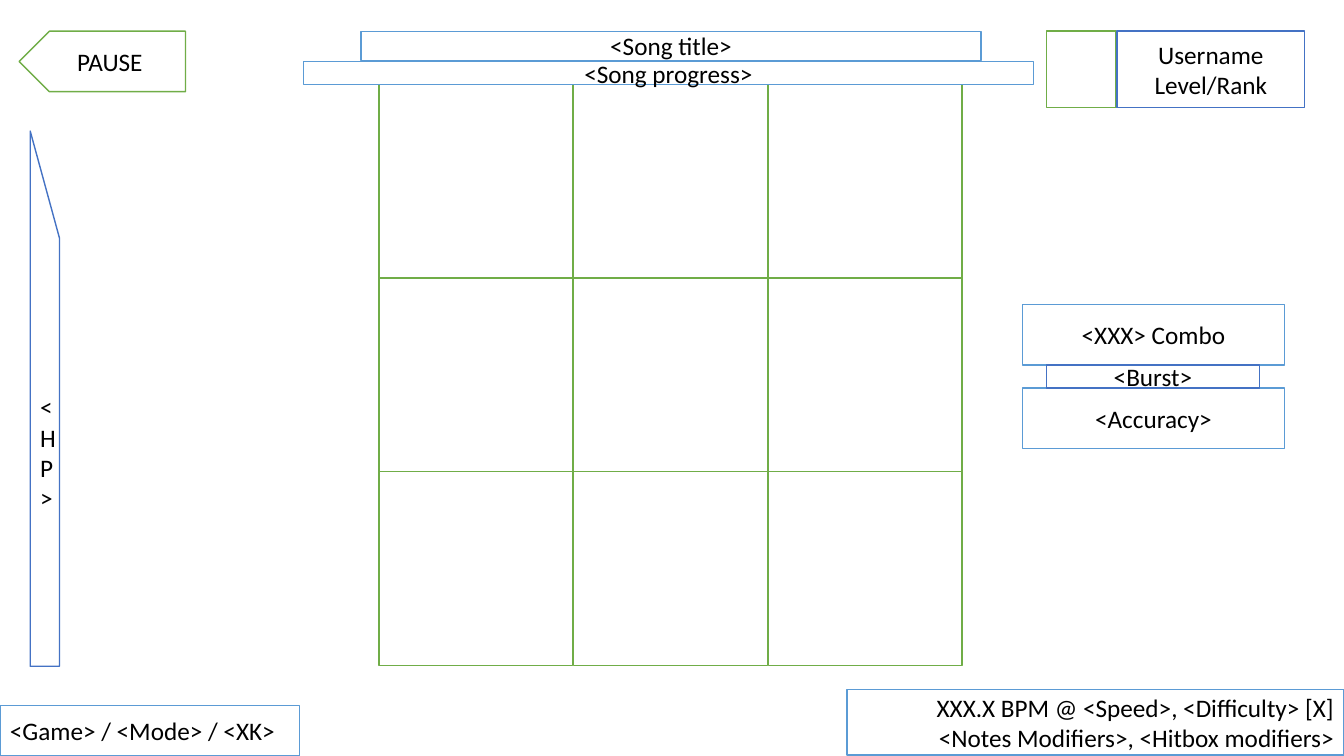
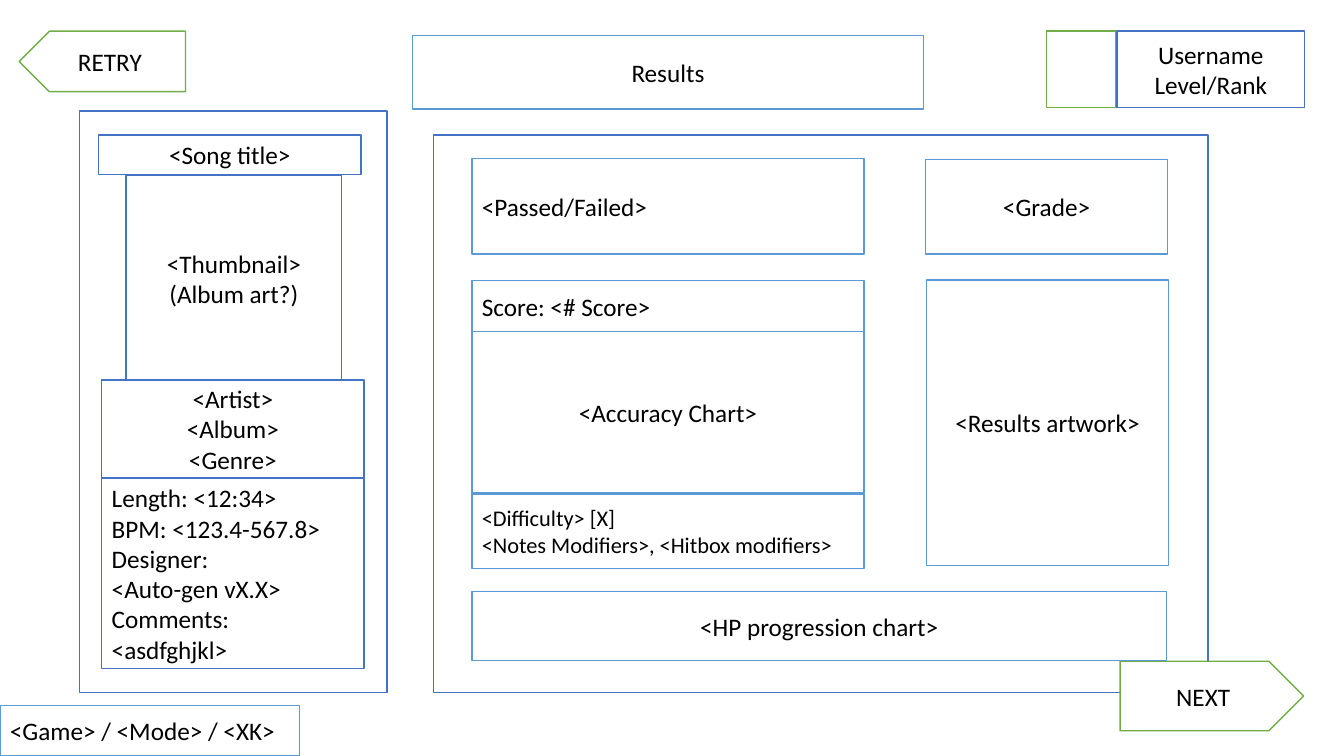
from pptx import Presentation
from pptx.dml.color import RGBColor
from pptx.enum.shapes import MSO_SHAPE as SHAPE
from pptx.enum.text import MSO_ANCHOR as ANCHOR, MSO_AUTO_SIZE as AUTO, PP_ALIGN as ALIGN
from pptx.util import Inches, Pt

COLORS = {"white": "FFFFFF", "text": "000000",
          "green": "70AD47", "blue": "4472C4", "sky": "5B9BD5"}
FONT = {"name": "Calibri", "size": Pt(18), "bold": False}
FRAME = {"word_wrap": True, "auto_size": AUTO.NONE, "vertical_anchor": ANCHOR.MIDDLE}
TITLE_ONLY = 5

# Boxes are left, top, width, height in inches.
# "\n" starts a paragraph, "\v" breaks a line inside one.
# Each part: outline colour, box, text, format options.
BACK_BOX = (0.19, 0.31, 1.65, 0.6)
LEFT, RIGHT = {"align": ALIGN.LEFT}, {"align": ALIGN.RIGHT}
OPEN = {"filled": False}
BACK = {"shape": SHAPE.PENTAGON, "flip": True}

SHARED = [
    ("green", (10.38, 0.31, 0.69, 0.76), "", {}),
    ("blue", (11.08, 0.31, 1.86, 0.76), "Username\vLevel/Rank", {}),
    ("sky", (0, 7, 2.97, 0.5), "<Game> / <Mode> / <XK>", LEFT),
]

GRID = {"left": 3.76, "top": 0.84, "cell": 1.92, "step_x": 1.93, "step_y": 1.92, "count": 3}

SCREENS = [
    {
        "title": ("sky", (3.58, 0.31, 6.15, 0.29), "<Song title>", OPEN),
        "back": "PAUSE",
        "grid": GRID,
        "parts": [
            ("sky", (3.01, 0.61, 7.24, 0.23), "<Song progress>", OPEN),
            ("blue", (0.3, 1.3, 0.29, 5.31), "<HP>",
             {"shape": SHAPE.FLOWCHART_MANUAL_INPUT, "flip": True, "filled": False}),
            ("sky", (10.14, 3.02, 2.6, 0.6), "<XXX> Combo", OPEN),
            ("sky", (10.14, 3.85, 2.6, 0.6), "<Accuracy>", OPEN),
            ("blue", (10.38, 3.62, 2.11, 0.23), "<Burst>", OPEN),
            ("sky", (8.4, 6.84, 4.93, 0.65),
             "XXX.X BPM @ <Speed>, <Difficulty> [X]\v<Notes Modifiers>, <Hitbox modifiers>",
             RIGHT),
        ],
    },
    {
        "title": ("sky", (4.09, 0.35, 5.07, 0.73), "Results", {}),
        "back": "RETRY",
        "grid": None,
        "parts": [
            ("blue", (0.79, 1.1, 3.05, 5.77), "", {}),
            ("blue", (0.98, 1.34, 2.6, 0.39), "<Song title>", {}),
            ("blue", (1.25, 1.74, 2.14, 2.04), "<Thumbnail>\v(Album art?)", {}),
            ("blue", (1.01, 4.74, 2.6, 1.89),
             "Length: <12:34>\nBPM: <123.4-567.8>\n"
             "Designer:\v<Auto-gen vX.X>\nComments:\v<asdfghjkl>",
             {"align": ALIGN.LEFT, "anchor": ANCHOR.TOP}),
            ("blue", (1.01, 3.77, 2.6, 0.97), "<Artist>\v<Album>\v<Genre>", {}),
            ("blue", (4.3, 1.34, 7.68, 5.53), "", {}),
            ("green", (11.11, 6.56, 1.82, 0.69), "NEXT", {"shape": SHAPE.PENTAGON}),
            ("sky", (9.18, 1.58, 2.4, 0.94), "<Grade>", {}),
            ("sky", (4.68, 1.57, 3.89, 0.95), "<Passed/Failed>", LEFT),
            ("sky", (4.68, 3.29, 3.89, 1.6), "<Accuracy Chart>", {}),
            ("sky", (4.68, 5.87, 6.89, 0.68), "<HP progression chart>", {}),
            ("sky", (4.68, 2.78, 3.89, 0.51), "Score: <# Score>", LEFT),
            ("sky", (9.19, 2.78, 2.4, 2.83), "<Results artwork>", {}),
            ("sky", (4.68, 4.9, 3.89, 0.74),
             "<Difficulty> [X]\v<Notes Modifiers>, <Hitbox modifiers>",
             {"align": ALIGN.LEFT, "size": Pt(16)}),
        ],
    },
]


def rgb(name):
    """Return a palette colour."""
    return RGBColor.from_string(COLORS[name])


def set_all(target, values):
    """Set each named attribute on the target."""
    for name, value in values.items():
        setattr(target, name, value)


def outline(panel, color, filled=True):
    """Give a panel its thin outline and a white or empty inside."""
    if filled:
        panel.fill.solid()
        panel.fill.fore_color.rgb = rgb("white")
    else:
        panel.fill.background()
    panel.line.color.rgb = rgb(color)
    panel.line.width = Pt(1)


def write(panel, text, align=ALIGN.CENTER, anchor=ANCHOR.MIDDLE, size=FONT["size"]):
    """Write formatted text into a panel."""
    frame = panel.text_frame
    frame.text = text
    set_all(frame, {**FRAME, "vertical_anchor": anchor})
    for paragraph in frame.paragraphs:
        paragraph.alignment = align
        for run in paragraph.runs:
            set_all(run.font, {**FONT, "size": size})
            run.font.color.rgb = rgb("text")


def add_part(shapes, color, box, text, options):
    """Add one outlined panel with its text."""
    style = dict(options)
    kind = style.pop("shape", SHAPE.RECTANGLE)
    flip = style.pop("flip", False)
    panel = shapes.add_shape(kind, *map(Inches, box))
    panel.shadow.inherit = False
    outline(panel, color, style.pop("filled", True))
    if flip:
        panel._element.spPr.xfrm.set("flipH", "1")
    if text:
        write(panel, text, **style)


def place_title(slide, color, box, text, options):
    """Move the title placeholder into its outlined box."""
    title = slide.shapes.title
    set_all(title, dict(zip(("left", "top", "width", "height"), map(Inches, box))))
    outline(title, color, **options)
    write(title, text)


def add_grid(slide, left, top, cell, step_x, step_y, count):
    """Add the square playfield as one group, column by column."""
    playfield = slide.shapes.add_group_shape()
    for column in range(count):
        for row in range(count):
            box = (left + column * step_x, top + row * step_y, cell, cell)
            add_part(playfield.shapes, "green", box, "", {})


deck = Presentation()
deck.slide_width, deck.slide_height = Inches(13.33), Inches(7.5)
for screen in SCREENS:
    slide = deck.slides.add_slide(deck.slide_layouts[TITLE_ONLY])
    place_title(slide, *screen["title"])
    if screen["grid"]:
        add_grid(slide, **screen["grid"])
    back_button = ("green", BACK_BOX, screen["back"], BACK)
    for part in [back_button, *SHARED, *screen["parts"]]:
        add_part(slide.shapes, *part)
deck.save("out.pptx")
